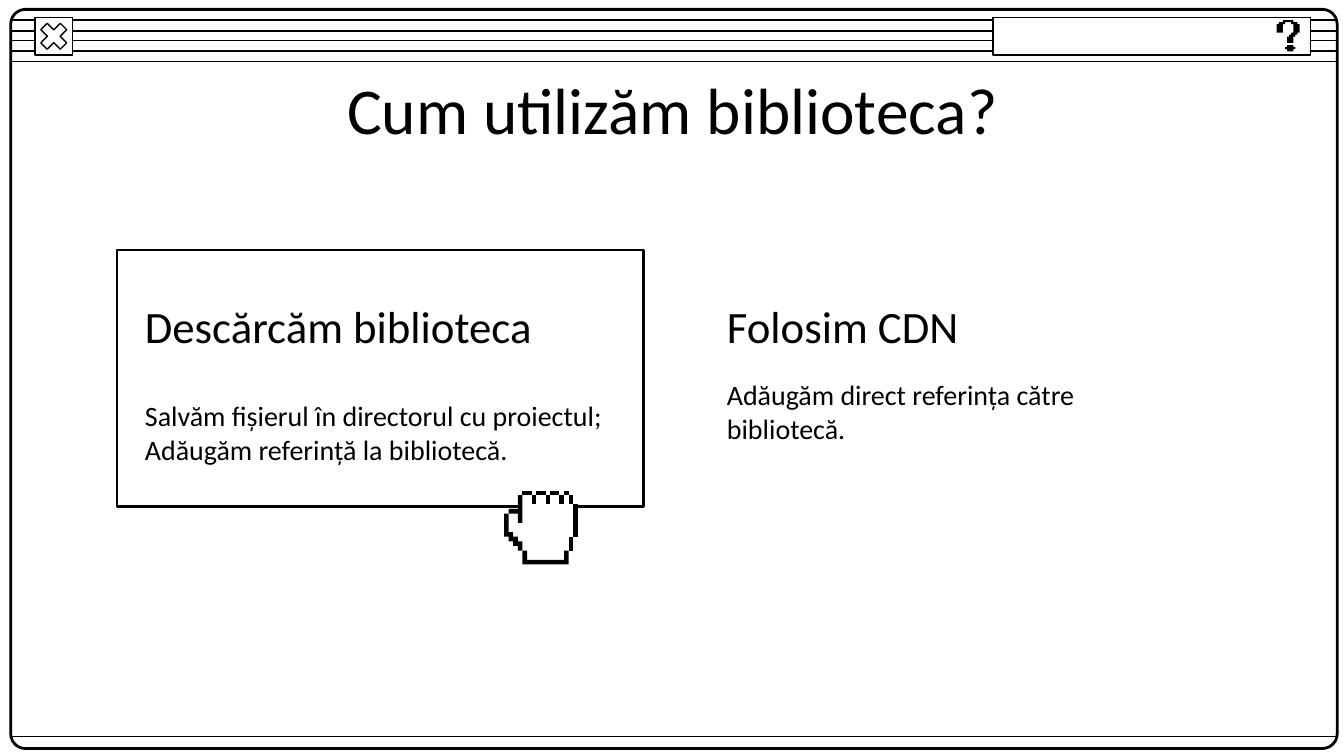
"""Build the slide on two ways of using a library, framed as a retro window."""
from lxml import etree
from pptx import Presentation
from pptx import util as u
from pptx.dml.color import RGBColor
from pptx.enum import shapes, text
from pptx.oxml import ns

BLACK = RGBColor(0x00, 0x00, 0x00)
WHITE = RGBColor(0xFF, 0xFF, 0xFF)

deck = Presentation()
deck.slide_width = u.Inches(10)
deck.slide_height = u.Inches(10 * 9 / 16)
slide = deck.slides.add_slide(deck.slide_layouts[6])


def add_text(lines, left, top, width, height, size, align=text.PP_ALIGN.LEFT):
    box = slide.shapes.add_textbox(
        u.Inches(left), u.Inches(top), u.Inches(width), u.Inches(height))
    frame = box.text_frame
    frame.word_wrap = True
    frame.vertical_anchor = text.MSO_ANCHOR.MIDDLE
    frame.margin_left = frame.margin_right = u.Inches(0.1)
    frame.margin_top = frame.margin_bottom = u.Inches(0.1)
    for i, line in enumerate(lines):
        paragraph = frame.paragraphs[0] if i == 0 else frame.add_paragraph()
        paragraph.alignment = align
        run = paragraph.add_run()
        run.text = line
        run.font.name = "Calibri"
        run.font.size = u.Pt(size)
        run.font.color.rgb = BLACK


def add_pixels(points, left, top, pixel, color):
    builder = slide.shapes.build_freeform(*points[0], scale=pixel)
    builder.add_line_segments(points[1:], close=True)
    outline = builder.convert_to_shape(u.Inches(left), u.Inches(top))
    outline.shadow.inherit = False
    outline.fill.solid()
    outline.fill.fore_color.rgb = color
    outline.line.fill.background()


for y in (0.15, 0.23, 0.3, 0.38, 0.46, 5.48):
    stripe = slide.shapes.add_connector(
        shapes.MSO_CONNECTOR.STRAIGHT,
        u.Inches(0.08), u.Inches(y), u.Inches(9.95), u.Inches(y))
    stripe.line.color.rgb = BLACK
    stripe.line.width = u.Pt(0.75)
    etree.SubElement(stripe._element.spPr, ns.qn("a:effectLst"))

KIND = shapes.MSO_SHAPE
for kind, left, top, width, height, adjustment, fill, weight in (
    (KIND.ROUNDED_RECTANGLE, 0.08, 0.07, 9.87, 5.5, 0.02, None, 1.5),
    (KIND.RECTANGLE, 0.26, 0.13, 0.28, 0.28, None, WHITE, 0.75),
    (KIND.MATH_MULTIPLY, 0.26, 0.13, 0.28, 0.28, 0.24, WHITE, 0.75),
    (KIND.RECTANGLE, 7.39, 0.13, 2.36, 0.28, None, WHITE, 0.75),
    (KIND.RECTANGLE, 0.87, 1.86, 3.92, 1.91, None, None, 1.5),
):
    panel = slide.shapes.add_shape(
        kind, u.Inches(left), u.Inches(top), u.Inches(width), u.Inches(height))
    panel.shadow.inherit = False
    if adjustment is not None:
        panel.adjustments[0] = adjustment
    if fill is None:
        panel.fill.background()
    else:
        panel.fill.solid()
        panel.fill.fore_color.rgb = fill
    panel.line.color.rgb = BLACK
    panel.line.width = u.Pt(weight)

question_dot = [(5, 12), (5, 13), (4, 13), (4, 14), (5, 14), (5, 15),
                (8, 15), (8, 14), (9, 14), (9, 13), (8, 13), (8, 12)]
question_hook = [(3, 0), (3, 1), (1, 1), (1, 2), (0, 2), (0, 6), (3, 6), (3, 2), (4, 2), (4, 1),
                 (7, 1), (7, 2), (8, 2), (8, 6), (7, 6), (7, 7), (6, 7), (6, 8), (5, 8), (5, 11),
                 (8, 11), (8, 8), (9, 8), (9, 7), (10, 7), (10, 6), (11, 6), (11, 2), (10, 2),
                 (10, 1), (8, 1), (8, 0)]
for part in (question_dot, question_hook):
    add_pixels(part, 9.5, 0.15, u.Inches(0.17) / 11, BLACK)

add_text(["Cum utilizăm biblioteca?"], 0.79, 0.49, 8.43, 0.63, 35, text.PP_ALIGN.CENTER)
for left, heading, body, body_height in (
    (0.98, "Descărcăm biblioteca",
     ["Salvăm fișierul în directorul cu proiectul;", "Adăugăm referință la bibliotecă."], 1.09),
    (5.31, "Folosim CDN", ["Adăugăm direct referința către bibliotecă."], 0.78),
):
    add_text([heading], left, 2.18, 3.71, 0.49, 24)
    add_text(body, left, 2.67, 3.71, body_height, 15)

hand = [(4, 0), (4, 1), (3, 1), (3, 4), (1, 4), (1, 5), (0, 5), (0, 10), (1, 10), (1, 11),
        (2, 11), (2, 12), (3, 12), (3, 13), (4, 13), (4, 16), (14, 16), (14, 13), (15, 13),
        (15, 10), (16, 10), (16, 3), (15, 3), (15, 1), (14, 1), (14, 0), (13, 0), (13, 1),
        (12, 1), (12, 0), (10, 0), (10, 1), (9, 1), (9, 0), (7, 0), (7, 1), (6, 1), (6, 0)]
wrist = [(4, 13), (4, 16), (14, 16), (14, 13), (13, 13), (13, 15), (5, 15), (5, 13)]
index_finger = [(3, 1), (3, 4), (1, 4), (1, 5), (3, 5), (3, 7), (4, 7), (4, 1)]
thumb = [(0, 5), (0, 10), (1, 10), (1, 11), (2, 11), (2, 12), (3, 12), (3, 13), (4, 13),
         (4, 11), (3, 11), (3, 10), (2, 10), (2, 9), (1, 9), (1, 5)]
finger_gaps = [(x, 1, x + 1, 3) for x in (14, 12, 9, 6)]
fingertips = [(4, 0, 6, 1), (7, 0, 9, 1), (10, 0, 12, 1), (13, 0, 14, 1)]
palm_edge = [(15, 3, 16, 10), (14, 10, 15, 13)]
bars = [[(l, t), (l, b), (r, b), (r, t)] for l, t, r, b in finger_gaps + palm_edge + fingertips]

hand_pixel = u.Inches(0.55) / 16
add_pixels(hand, 3.75, 3.65, hand_pixel, WHITE)
for part in bars + [wrist, index_finger, thumb]:
    add_pixels(part, 3.75, 3.65, hand_pixel, BLACK)

deck.save("out.pptx")
